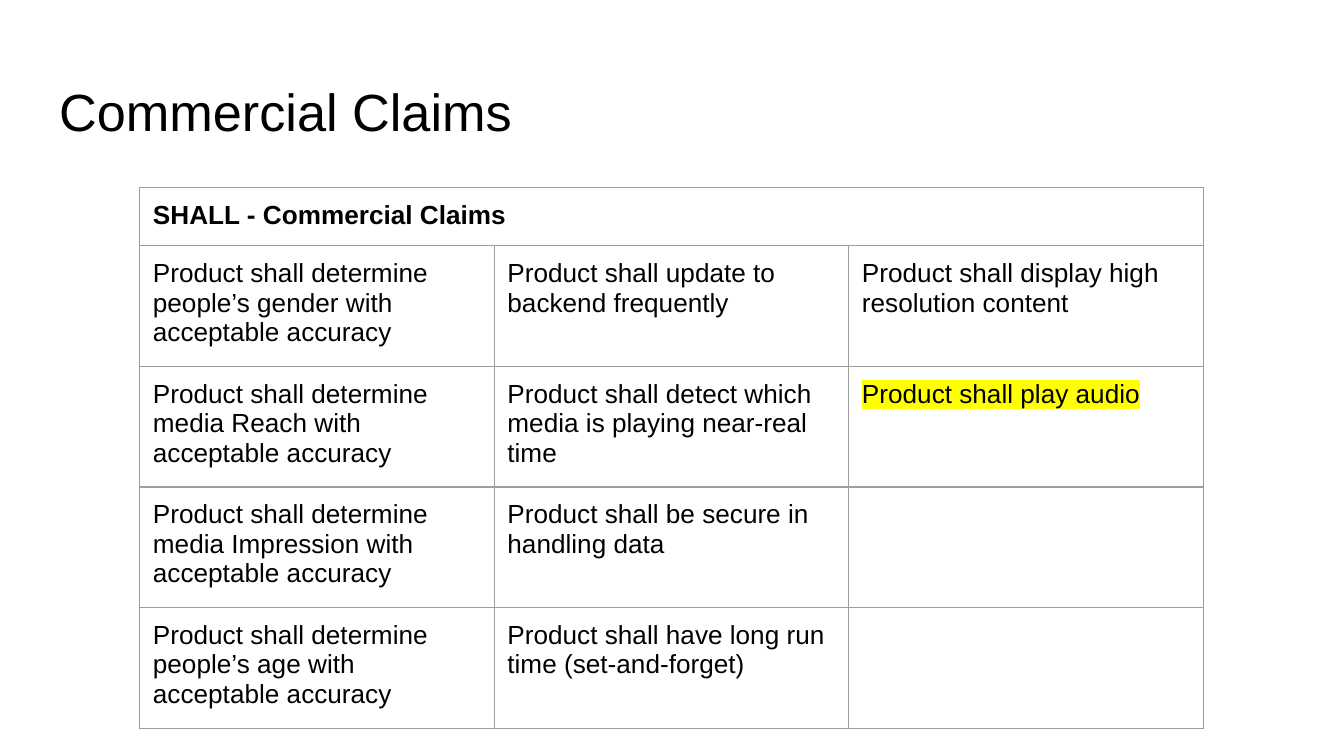
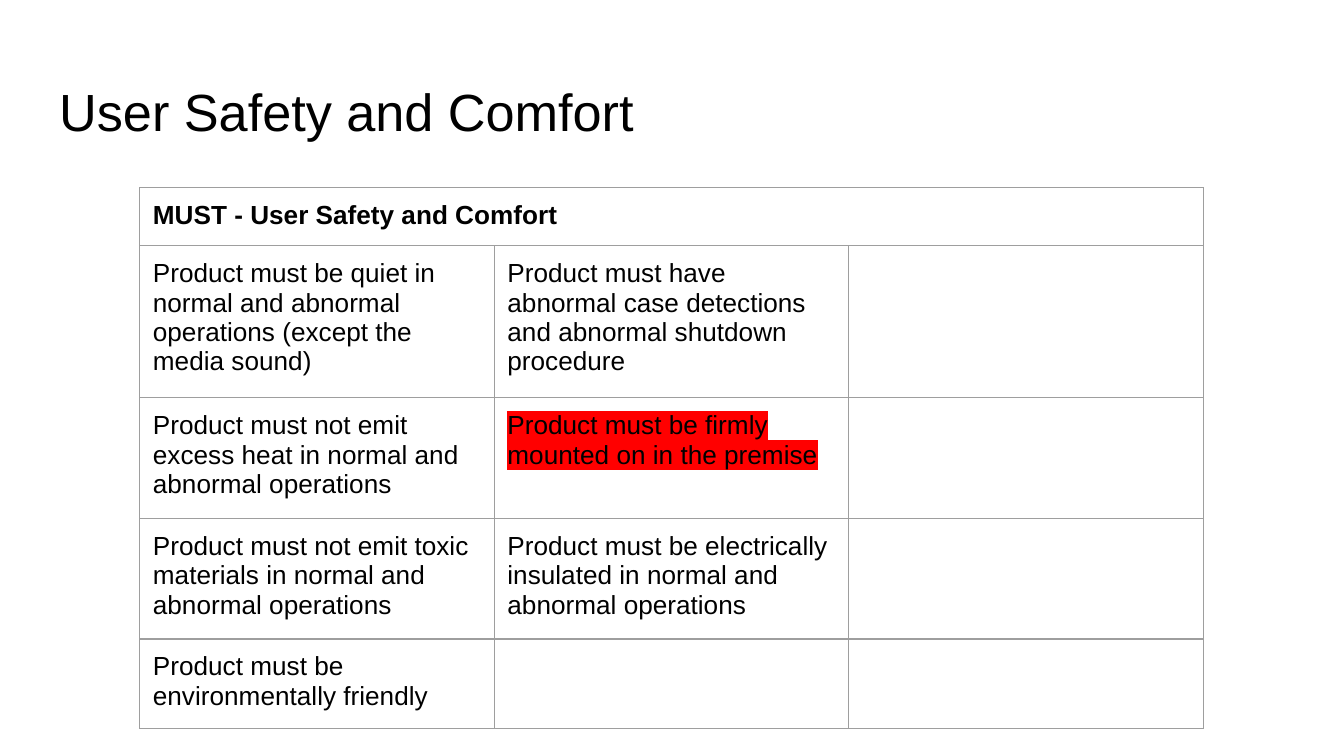
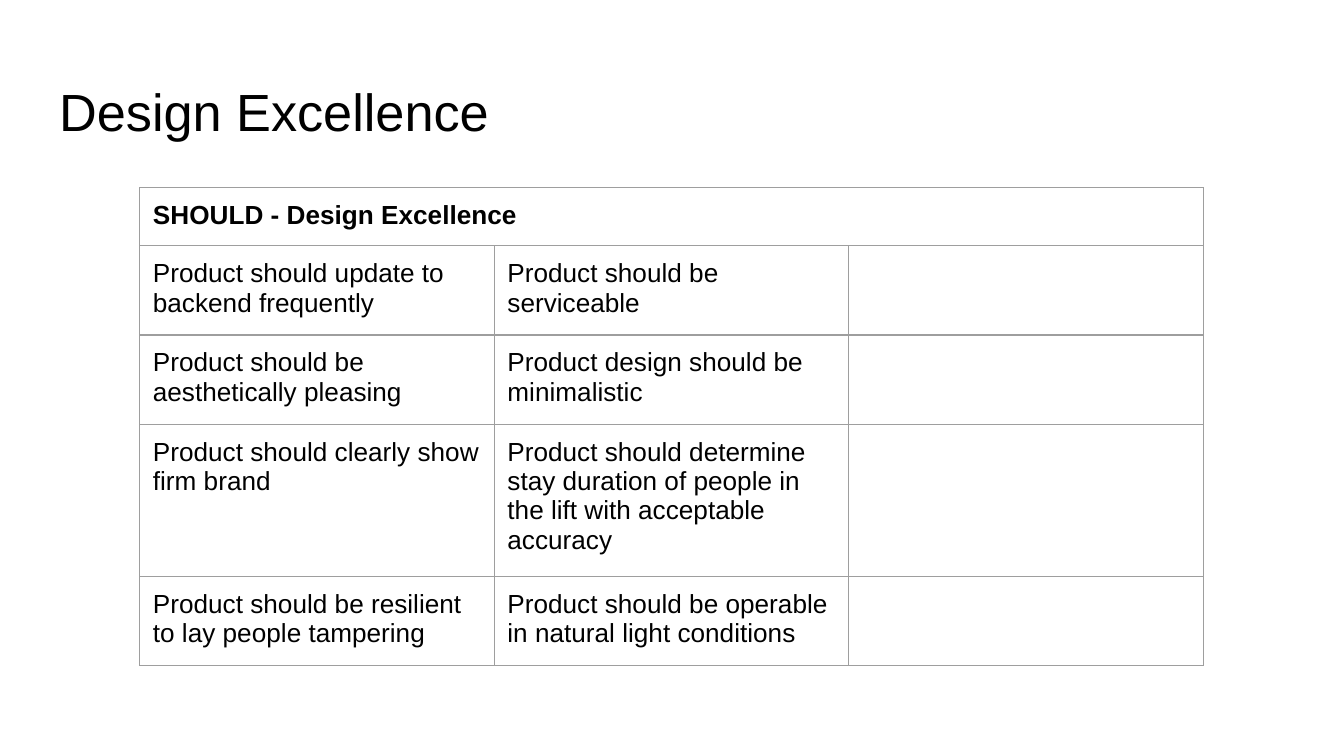
from dataclasses import dataclass

from lxml import etree
from pptx import Presentation
from pptx import util as u
from pptx.dml.color import RGBColor
from pptx.enum import text
from pptx.oxml import ns

FONT = "Arial"
BLACK = RGBColor(0x00, 0x00, 0x00)
GREY = RGBColor(0x9E, 0x9E, 0x9E)
YELLOW = RGBColor(0xFF, 0xFF, 0x00)
RED = RGBColor(0xFF, 0x00, 0x00)

INSET = u.Cm(0.25)
COLUMNS = 3
COLUMN_WIDTH = u.Cm(6.7)
ROW_HEIGHT = u.Cm(1.06)
BORDER_WIDTH = u.Pt(0.75)


@dataclass(frozen=True)
class Requirement:
    wording: str
    highlight: RGBColor | None = None


@dataclass(frozen=True)
class RequirementSlide:
    title: str
    level: str
    rows: tuple[tuple[Requirement, ...], ...]


REQUIREMENT_SLIDES = (
    RequirementSlide("Commercial Claims", "SHALL", (
        (Requirement("Product shall determine people’s gender with acceptable accuracy"),
         Requirement("Product shall update to backend frequently"),
         Requirement("Product shall display high resolution content")),
        (Requirement("Product shall determine media Reach with acceptable accuracy"),
         Requirement("Product shall detect which media is playing near-real time"),
         Requirement("Product shall play audio", YELLOW)),
        (Requirement("Product shall determine media Impression with acceptable accuracy"),
         Requirement("Product shall be secure in handling data")),
        (Requirement("Product shall determine people’s age with acceptable accuracy"),
         Requirement("Product shall have long run time (set-and-forget)")),
    )),
    RequirementSlide("User Safety and Comfort", "MUST", (
        (Requirement("Product must be quiet in normal and abnormal operations (except the media sound)"),
         Requirement("Product must have abnormal case detections and abnormal shutdown procedure")),
        (Requirement("Product must not emit excess heat in normal and abnormal operations"),
         Requirement("Product must be firmly mounted on in the premise", RED)),
        (Requirement("Product must not emit toxic materials in normal and abnormal operations"),
         Requirement("Product must be electrically insulated in normal and abnormal operations")),
        (Requirement("Product must be environmentally friendly"),),
    )),
    RequirementSlide("Design Excellence", "SHOULD", (
        (Requirement("Product should update to backend frequently"),
         Requirement("Product should be serviceable")),
        (Requirement("Product should be aesthetically pleasing"),
         Requirement("Product design should be minimalistic")),
        (Requirement("Product should clearly show firm brand"),
         Requirement("Product should determine stay duration of people in the lift with acceptable accuracy")),
        (Requirement("Product should be resilient to lay people tampering"),
         Requirement("Product should be operable in natural light conditions")),
    )),
)


def add_color(parent, color: RGBColor) -> None:
    etree.SubElement(parent, ns.qn("a:srgbClr"), val=str(color))


def write_text(frame, wording: str, *, size: float = 14, bold: bool = False,
               color: RGBColor = BLACK, highlight: RGBColor | None = None) -> None:
    run = frame.paragraphs[0].add_run()
    run.text = wording
    run.font.name = FONT
    run.font.size = u.Pt(size)
    run.font.bold = bold
    run.font.color.rgb = color
    if highlight is not None:
        marker = etree.Element(ns.qn("a:highlight"))
        add_color(marker, highlight)
        run.font._element.find(ns.qn("a:solidFill")).addnext(marker)


def set_insets(target) -> None:
    target.margin_left = target.margin_right = INSET
    target.margin_top = target.margin_bottom = INSET


def add_borders(cell) -> None:
    properties = cell._tc.get_or_add_tcPr()
    for index, side in enumerate(("lnL", "lnR", "lnT", "lnB")):
        line = etree.Element(ns.qn(f"a:{side}"), w=str(int(BORDER_WIDTH)))
        add_color(etree.SubElement(line, ns.qn("a:solidFill")), GREY)
        properties.insert(index, line)


def add_title(slide, title: str) -> None:
    box = slide.shapes.add_textbox(u.Cm(0.87), u.Cm(1.24), u.Cm(23.66), u.Cm(1.59))
    frame = box.text_frame
    frame.word_wrap = True
    frame.vertical_anchor = text.MSO_ANCHOR.TOP
    set_insets(frame)
    write_text(frame, title, size=28)


def add_requirement_table(slide, content: RequirementSlide) -> None:
    row_count = len(content.rows) + 1
    table = slide.shapes.add_table(
        row_count, COLUMNS, u.Cm(2.64), u.Cm(3.55),
        COLUMN_WIDTH * COLUMNS, ROW_HEIGHT * row_count,
    ).table
    table.first_row = False
    table.horz_banding = False
    for column in table.columns:
        column.width = COLUMN_WIDTH
    for row in table.rows:
        row.height = ROW_HEIGHT
    for cell in table.iter_cells():
        set_insets(cell)
        cell.fill.background()
        add_borders(cell)

    heading = table.cell(0, 0)
    heading.merge(table.cell(0, COLUMNS - 1))
    write_text(heading.text_frame, f"{content.level} - {content.title}", bold=True)
    for row_index, requirements in enumerate(content.rows, start=1):
        for column_index, requirement in enumerate(requirements):
            write_text(table.cell(row_index, column_index).text_frame,
                       requirement.wording, highlight=requirement.highlight)


def main() -> None:
    presentation = Presentation()
    presentation.slide_width = u.Cm(25.4)
    presentation.slide_height = u.Cm(14.29)
    blank_layout = presentation.slide_layouts[6]
    for content in REQUIREMENT_SLIDES:
        slide = presentation.slides.add_slide(blank_layout)
        add_title(slide, content.title)
        add_requirement_table(slide, content)
    presentation.save("out.pptx")


if __name__ == "__main__":
    main()
